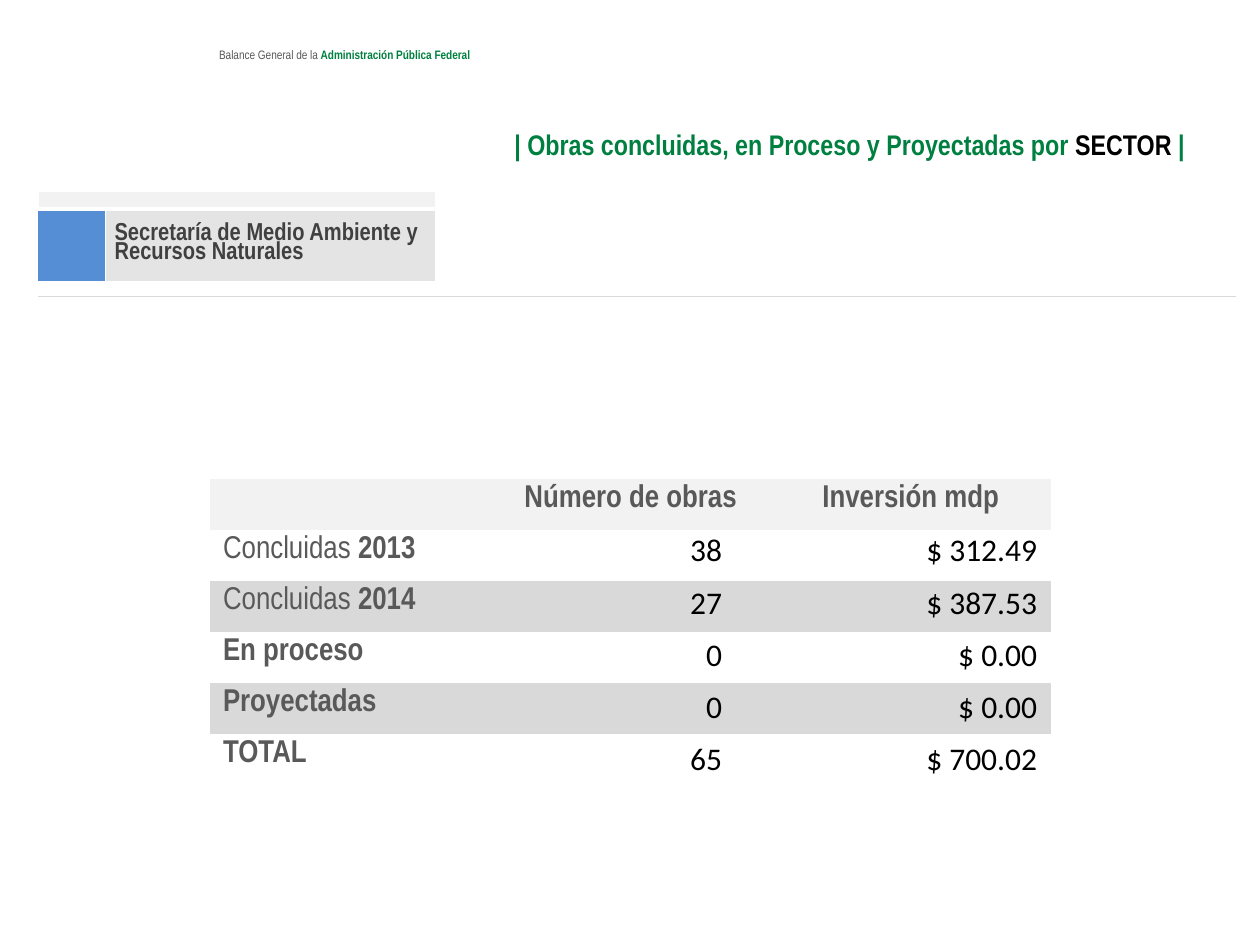
import pptx
import pptx.dml.color
import pptx.enum.text
import pptx.oxml.ns
import pptx.util
from dataclasses import dataclass
from lxml import etree
from pptx.util import Inches, Pt

ALIGN = pptx.enum.text.PP_ALIGN
ANCHOR = pptx.enum.text.MSO_ANCHOR
NO_STYLE = "{2D5ABB26-0587-4C30-8999-92F81FD0307C}"


@dataclass(frozen=True)
class Theme:
    narrow: str = "Arial Narrow"
    body: str = "Calibri"
    green: str = "008040"
    black: str = "000000"
    white: str = "FFFFFF"
    gray_text: str = "595959"
    dark_text: str = "404040"
    blue: str = "558ED5"
    pale: str = "F2F2F2"
    light: str = "E4E4E4"
    band: str = "D9D9D9"
    running: float = 7
    title: float = 16.2
    sector: float = 14
    table: float = 18


THEME = Theme()


def rgb(value):
    return pptx.dml.color.RGBColor.from_string(value)


def set_font(font, size, color, bold=False, name=THEME.narrow):
    font.name, font.size, font.bold = name, Pt(size), bold
    font.color.rgb = rgb(color)


def add_spans(para, size, spans):
    """Fill a paragraph with (text, color, bold) spans."""
    for text, color, bold in spans:
        span = para.add_run()
        span.text = text
        set_font(span.font, size, color, bold)


def add_text_box(page, box):
    frame = page.shapes.add_textbox(*map(Inches, box)).text_frame
    frame.word_wrap = True
    return frame


def add_plain_table(page, box, columns, rows):
    """Add a table without style; empty cells stay as low as their row."""
    left, top = box
    table = page.shapes.add_table(
        len(rows), len(columns), Inches(left), Inches(top),
        Inches(sum(columns)), Inches(sum(rows))).table
    table._tbl.tblPr.find(pptx.oxml.ns.qn("a:tableStyleId")).text = NO_STYLE
    table.first_row = table.horz_banding = False
    for column, width in zip(table.columns, columns):
        column.width = Inches(width)
    for row, height in zip(table.rows, rows):
        row.height = Inches(height)
    for cell in table.iter_cells():
        cell.fill.background()
    return table


def fill_cell(cell, color):
    cell.fill.solid()
    cell.fill.fore_color.rgb = rgb(color)


def shrink_empty(cell):
    cell.margin_top = cell.margin_bottom = 0
    para = cell.text_frame.paragraphs[0]._p
    etree.SubElement(para, pptx.oxml.ns.qn("a:endParaRPr"), sz="100")


def set_border(cell, side, color, width):
    """Draw one side of a cell; borders precede the fill in tcPr."""
    properties = cell._tc.get_or_add_tcPr()
    line = etree.Element(pptx.oxml.ns.qn("a:ln" + side), w=str(Pt(width)))
    solid = etree.SubElement(line, pptx.oxml.ns.qn("a:solidFill"))
    etree.SubElement(solid, pptx.oxml.ns.qn("a:srgbClr"), val=color)
    borders = [child for child in properties
               if etree.QName(child).localname.startswith("ln")]
    properties.insert(len(borders), line)


def add_running_head(page, box):
    para = add_text_box(page, box).paragraphs[0]
    para.line_spacing = 0.8
    add_spans(para, THEME.running, [
        ("Balance General de la ", THEME.gray_text, False),
        ("Administración Pública Federal", THEME.green, True)])


def add_title(page, box):
    frame = add_text_box(page, box)
    frame.vertical_anchor = ANCHOR.MIDDLE
    para = frame.paragraphs[0]
    para.alignment = ALIGN.RIGHT
    para.line_spacing = 1.15
    add_spans(para, THEME.title, [
        ("| Obras concluidas, en Proceso y Proyectadas por ", THEME.green, True),
        ("SECTOR ", THEME.black, True),
        ("|", THEME.green, True)])


def add_sector_frame(page, box):
    table = add_plain_table(page, box, [0.54, 2.62, 6.35], [0.14, 0.58, 0.11, 5])
    for row, last in ((0, 1), (2, 1), (3, 2)):
        table.cell(row, 0).merge(table.cell(row, last))
    for row, column, color in ((0, 0, THEME.pale), (1, 0, THEME.blue),
                               (1, 1, THEME.light), (2, 0, THEME.white),
                               (2, 2, THEME.white)):
        fill_cell(table.cell(row, column), color)

    # White gaps around the sector bar, gray rule below it
    for column in range(3):
        gaps = ((0, "L", 1), (0, "R", 1), (0, "T", 1), (0, "B", 3),
                (1, "L", 0.5), (1, "R", 0.5), (1, "T", 3), (1, "B", 1),
                (2, "T", 1))
        for row, side, width in gaps:
            set_border(table.cell(row, column), side, THEME.white, width)
        set_border(table.cell(2, column), "B", THEME.band, 0.25)
        set_border(table.cell(3, column), "T", THEME.band, 0.25)

    name = table.cell(1, 1)
    name.vertical_anchor = ANCHOR.MIDDLE
    name.margin_left = name.margin_right = Inches(0.07)
    name.margin_top = name.margin_bottom = 0
    name.text = "Secretaría de Medio Ambiente y Recursos Naturales"
    para = name.text_frame.paragraphs[0]
    para.line_spacing = Pt(11)
    set_font(para.font, THEME.sector, THEME.dark_text, True)
    for cell in table.iter_cells():
        if not cell.text:
            shrink_empty(cell)


WORKS = [
    ([("Concluidas ", False), ("2013", True)], "38", "$ 312.49"),
    ([("Concluidas ", False), ("2014", True)], "27", "$ 387.53"),
    ([("En proceso", True)], "0", "$ 0.00"),
    ([("Proyectadas", True)], "0", "$ 0.00"),
    ([("TOTAL", True)], "65", "$ 700.02"),
]


def add_works_table(page, box):
    left, top, width, height = box
    count = len(WORKS) + 1
    table = add_plain_table(page, (left, top), [width / 3] * 3,
                            [height / count] * count)
    # Header and shaded rows
    for row, color in ((0, THEME.pale), (2, THEME.band), (4, THEME.band)):
        for column in range(3):
            fill_cell(table.cell(row, column), color)
    for column, heading in ((1, "Número de obras"), (2, "Inversión mdp")):
        para = table.cell(0, column).text_frame.paragraphs[0]
        para.alignment = ALIGN.CENTER
        add_spans(para, THEME.table, [(heading, THEME.gray_text, True)])
    # Row labels
    for row, (label, *_) in enumerate(WORKS, 1):
        add_spans(table.cell(row, 0).text_frame.paragraphs[0], THEME.table,
                  [(text, THEME.gray_text, bold) for text, bold in label])
    for cell in table.iter_cells():
        if not cell.text:
            shrink_empty(cell)


def add_figures(page, box):
    """Place the right-aligned figures over the two value columns."""
    left, top, width, pitch = box
    for row, (_, *values) in enumerate(WORKS):
        for column, value in enumerate(values):
            frame = add_text_box(page, (left + column * 2.5, top + row * pitch,
                                        width, 0.4))
            para = frame.paragraphs[0]
            para.alignment = ALIGN.RIGHT
            para.text = value
            set_font(para.font, THEME.table, THEME.black, name=THEME.body)


def main():
    deck = pptx.Presentation()
    deck.slide_width, deck.slide_height = Inches(10), Inches(7.5)
    page = deck.slides.add_slide(deck.slide_layouts[6])
    add_running_head(page, (1.64, 0.35, 4.49, 0.2))
    add_sector_frame(page, (0.3, 1.52))
    add_works_table(page, (1.67, 3.8, 6.67, 2.43))
    add_title(page, (0.5, 0.91, 9, 0.43))
    add_figures(page, (4.16, 4.16, 1.67, 0.415))
    deck.save("out.pptx")


if __name__ == "__main__":
    main()
